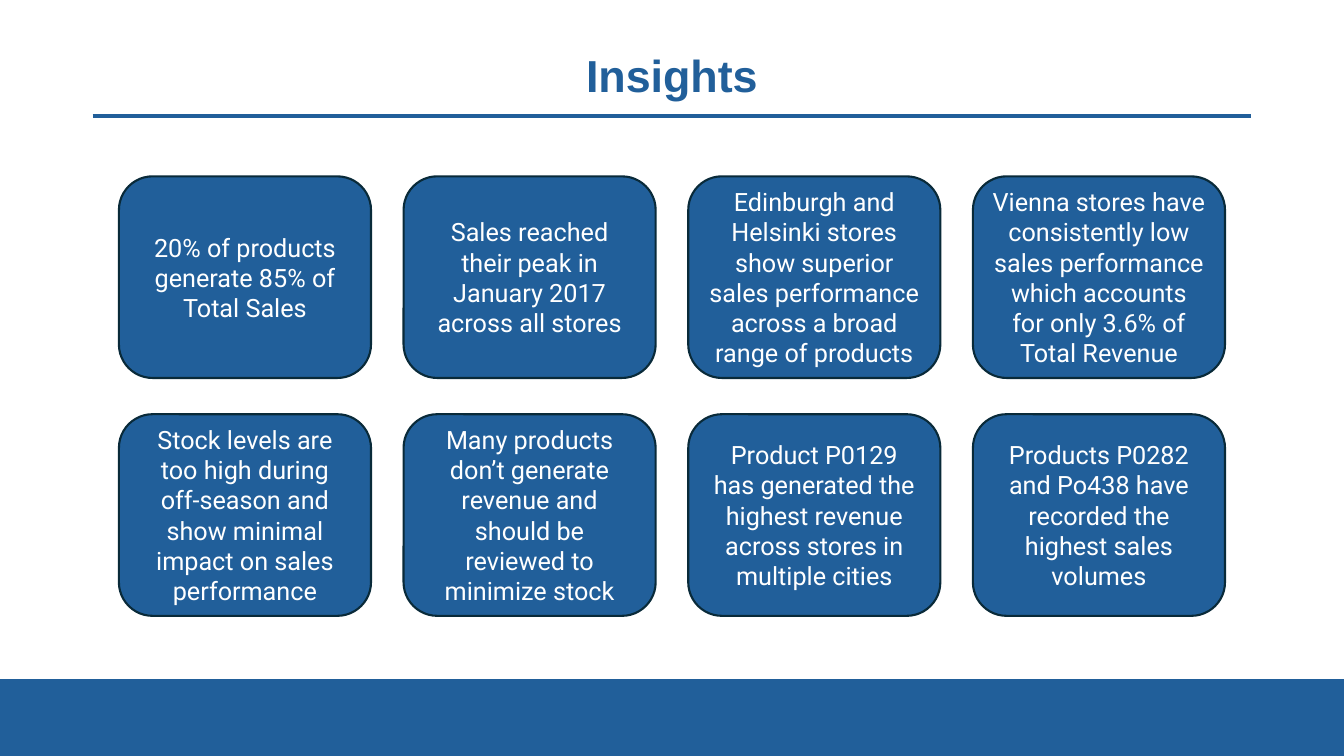
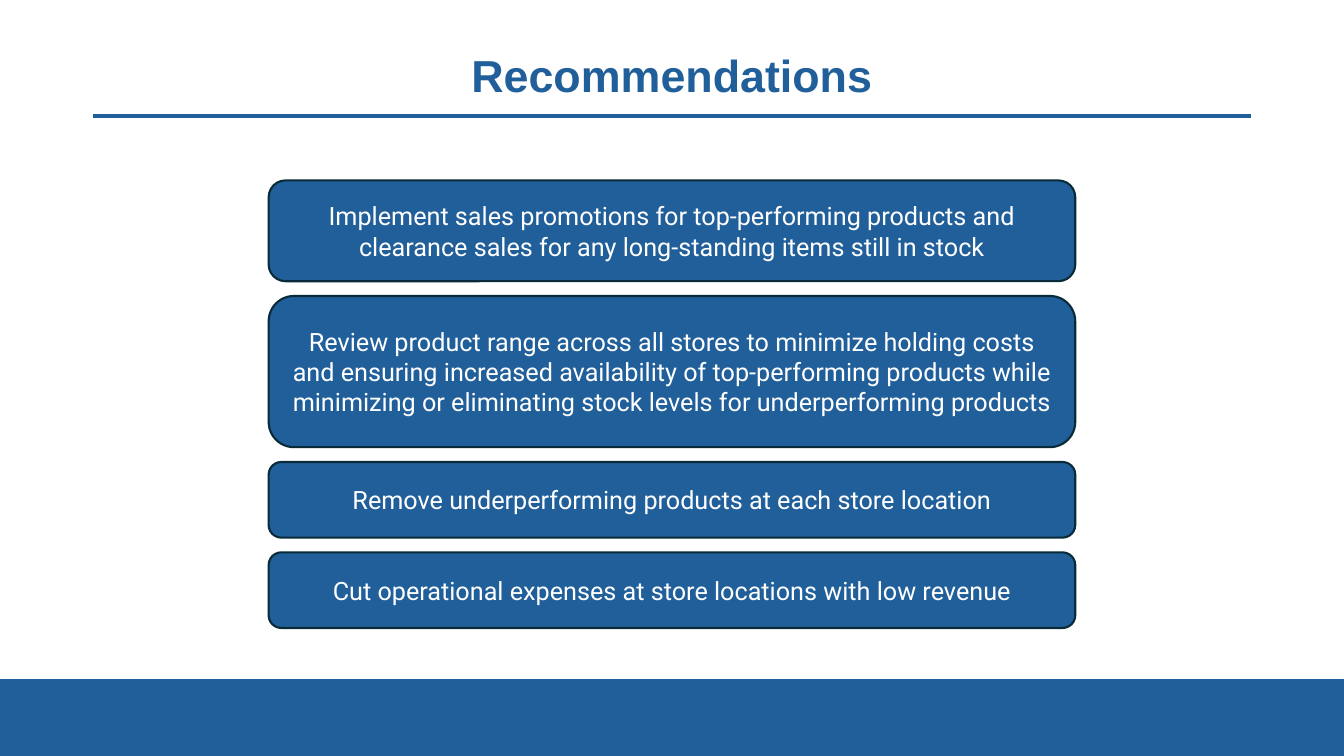
from lxml.etree import SubElement
from pptx import Presentation
from pptx.dml.color import RGBColor
from pptx.enum.shapes import MSO_CONNECTOR as Connector, MSO_SHAPE as Preset
from pptx.enum.text import MSO_ANCHOR as Anchor, MSO_AUTO_SIZE as AutoSize, PP_ALIGN as Align
from pptx.oxml.ns import qn
from pptx.util import Inches, Pt

COLORS = {"blue": "215F9A", "outline": "092A39", "white": "FFFFFF"}
TITLE_FONT, BODY_FONT = "Arial", "Roboto"
SLIDE_WIDTH, SLIDE_HEIGHT = 13.33, 7.5
MARGIN, TITLE_TOP, TITLE_HEIGHT = 0.92, 0.4, 0.75
BAND_HEIGHT = SLIDE_HEIGHT / 10

INSIGHTS = [
    ["20% of products generate 85% of Total Sales",
     "Sales reached their peak in January 2017 across all stores",
     "Edinburgh and Helsinki stores show superior sales performance across a broad range of products",
     "Vienna stores have consistently low sales performance which accounts for only 3.6% of Total Revenue"],
    ["Stock levels are too high during off-season and show minimal impact on sales performance",
     "Many products don’t generate revenue and should be reviewed to minimize stock",
     "Product P0129 has generated the highest revenue across stores in multiple cities",
     "Products P0282 and Po438 have recorded the highest sales volumes"],
]
INSIGHT_SIZE = (2.5, 2)
INSIGHT_LEFT, INSIGHT_TOP, INSIGHT_ROW_GAP = 1.18, 1.75, 0.36

# Each recommendation with the height of its box
RECOMMENDATIONS = [
    ("Implement sales promotions for top-performing products and clearance sales "
     "for any long-standing items still in stock", 1),
    ("Review product range across all stores to minimize holding costs and ensuring "
     "increased availability of top-performing products while minimizing or eliminating "
     "stock levels for underperforming products", 1.5),
    ("Remove underperforming products at each store location", 0.75),
    ("Cut operational expenses at store locations with low revenue", 0.75),
]
RECOMMENDATION_WIDTH = 8
STACK_TOP, STACK_BOTTOM = 1.79, 6.23


def color(name):
    return RGBColor.from_string(COLORS[name])


def equal_gap(space, sizes):
    return (space - sum(sizes)) / (len(sizes) - 1)


def add_box(slide, preset, left, top, width, height, outline):
    shape = slide.shapes.add_shape(preset, *map(Inches, (left, top, width, height)))
    shape.shadow.inherit = False
    shape.fill.solid()
    shape.fill.fore_color.rgb = color("blue")
    shape.line.color.rgb = color(outline)
    shape.line.width = Pt(1.5)
    return shape


def add_card(slide, text, left, top, width, height):
    card = add_box(slide, Preset.ROUNDED_RECTANGLE, left, top, width, height, "outline")
    frame = card.text_frame
    frame.text = text
    frame.word_wrap = True
    frame.vertical_anchor = Anchor.MIDDLE
    style_paragraph(frame.paragraphs[0], BODY_FONT, 18, "white")


def style_paragraph(paragraph, font_name, size, color_name, bold=False):
    paragraph.alignment = Align.CENTER
    font = paragraph.font
    font.name, font.size, font.bold = font_name, Pt(size), bold
    font.color.rgb = color(color_name)


def decorate_layout(layout, slide):
    """Draw the band and title rule on a slide, then move them to its layout."""
    band = add_box(slide, Preset.RECTANGLE, 0, SLIDE_HEIGHT - BAND_HEIGHT,
                   SLIDE_WIDTH, BAND_HEIGHT, "blue")
    rule_top = Inches(TITLE_TOP + TITLE_HEIGHT)
    rule = slide.shapes.add_connector(Connector.STRAIGHT, Inches(MARGIN), rule_top,
                                      Inches(SLIDE_WIDTH - MARGIN), rule_top)
    rule.line.color.rgb = color("blue")
    rule.line.width = Pt(3)
    SubElement(rule.element.spPr, qn("a:effectLst"))
    for index, shape in enumerate((band, rule)):
        shape.element.xpath(".//p:cNvPr")[0].set("id", str(20 + index))
        layout.shapes.element.insert(2 + index, shape.element)

    title = layout.placeholders[0]
    title.left, title.top = Inches(MARGIN), Inches(TITLE_TOP)
    title.width, title.height = Inches(SLIDE_WIDTH - 2 * MARGIN), Inches(TITLE_HEIGHT)


def add_titled_slide(presentation, layout, text):
    slide = presentation.slides.add_slide(layout)
    frame = slide.shapes.title.text_frame
    frame.text = text
    frame.auto_size = AutoSize.NONE
    frame.vertical_anchor = Anchor.MIDDLE
    paragraph = frame.paragraphs[0]
    paragraph.line_spacing = 0.9
    style_paragraph(paragraph, TITLE_FONT, 32, "blue", bold=True)
    return slide


def add_insights(slide):
    width, height = INSIGHT_SIZE
    column_gap = equal_gap(SLIDE_WIDTH - 2 * INSIGHT_LEFT, [width] * len(INSIGHTS[0]))
    for row, texts in enumerate(INSIGHTS):
        for column, text in enumerate(texts):
            add_card(slide, text, INSIGHT_LEFT + column * (width + column_gap),
                     INSIGHT_TOP + row * (height + INSIGHT_ROW_GAP), width, height)


def add_recommendations(slide):
    gap = equal_gap(STACK_BOTTOM - STACK_TOP, [height for _, height in RECOMMENDATIONS])
    left, top = (SLIDE_WIDTH - RECOMMENDATION_WIDTH) / 2, STACK_TOP
    for text, height in RECOMMENDATIONS:
        add_card(slide, text, left, top, RECOMMENDATION_WIDTH, height)
        top += height + gap


def main():
    presentation = Presentation()
    presentation.slide_width = Inches(SLIDE_WIDTH)
    presentation.slide_height = Inches(SLIDE_HEIGHT)
    layout = presentation.slide_layouts.get_by_name("Title Only")
    insights = add_titled_slide(presentation, layout, "Insights")
    decorate_layout(layout, insights)
    add_insights(insights)
    add_recommendations(add_titled_slide(presentation, layout, "Recommendations"))
    presentation.save("out.pptx")


if __name__ == "__main__":
    main()
